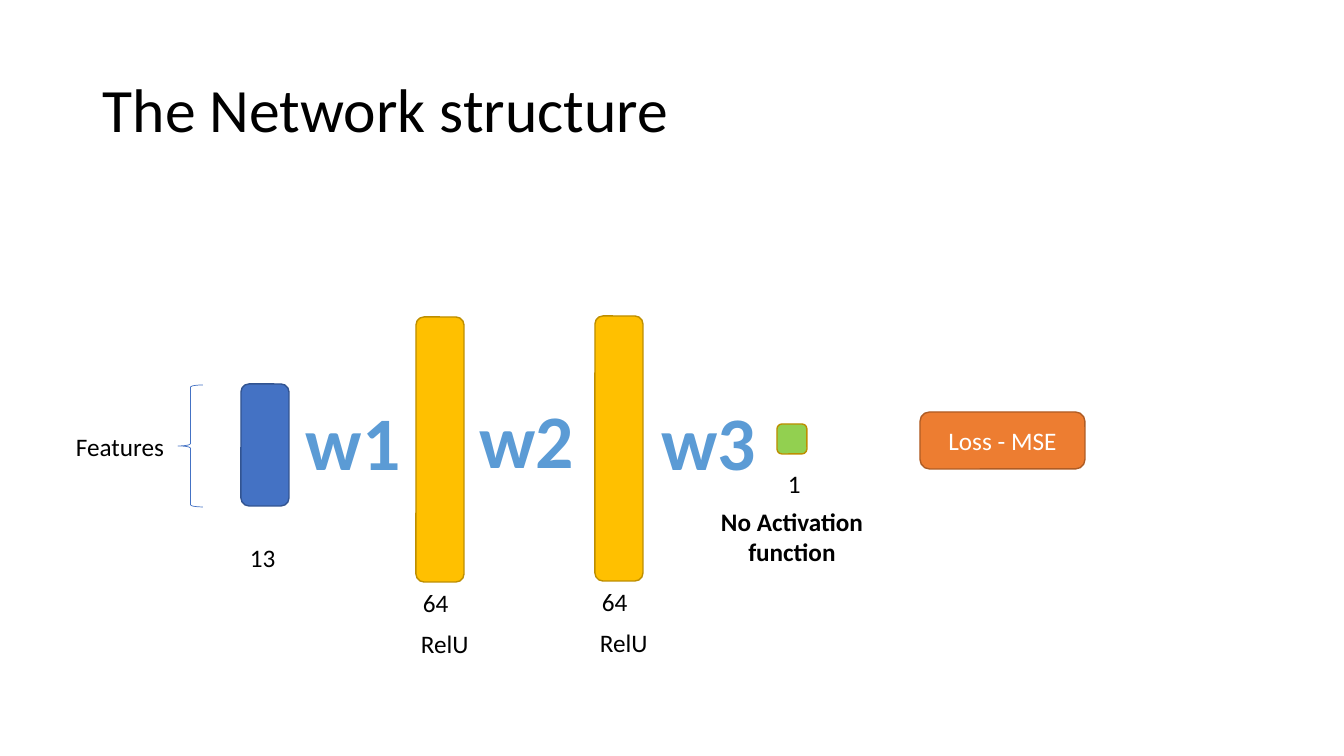
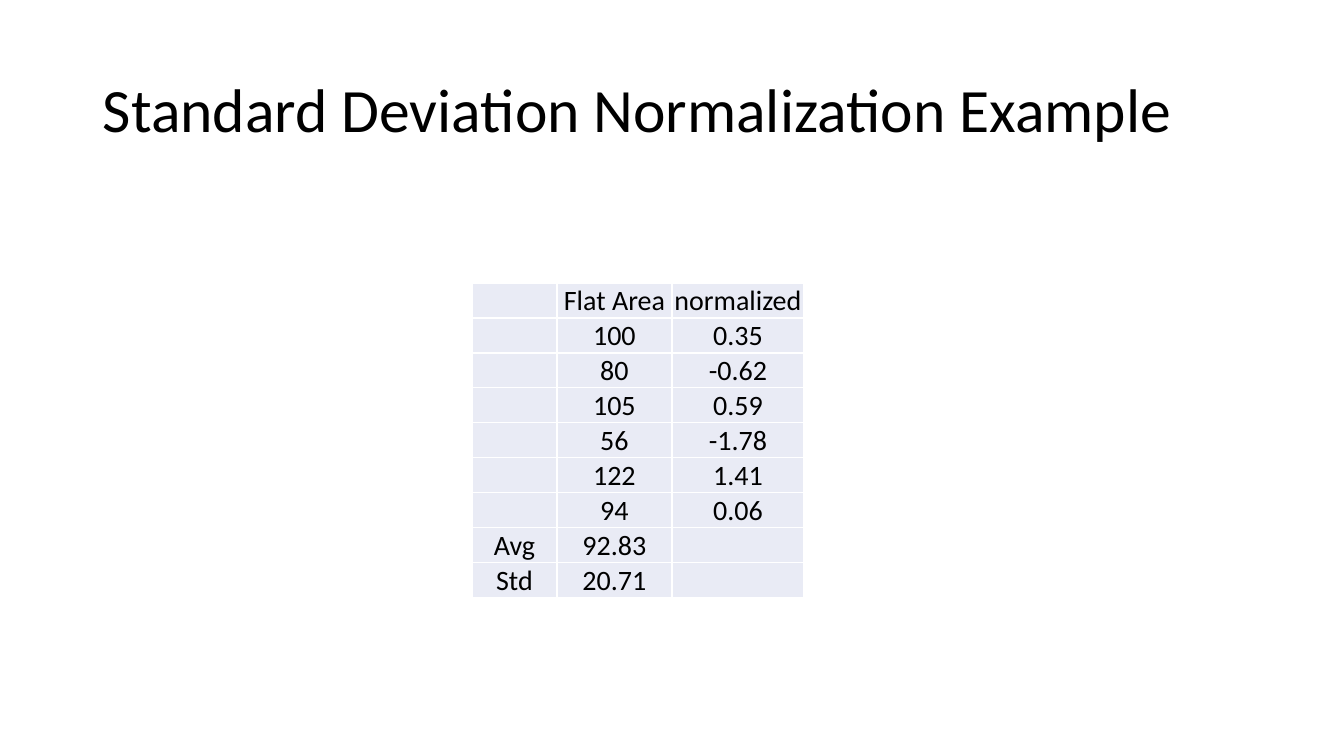
from lxml.etree import SubElement
from pptx import Presentation
from pptx.dml.color import RGBColor
from pptx.enum.shapes import MSO_SHAPE
from pptx.enum.text import MSO_ANCHOR, MSO_AUTO_SIZE, PP_ALIGN
from pptx.oxml.ns import qn
from pptx.util import Emu, Pt

PX = 914400 / 100.8
FONT = "Calibri"
BLACK = RGBColor(0x00, 0x00, 0x00)
WHITE = RGBColor(0xFF, 0xFF, 0xFF)
BLUE = RGBColor(0x44, 0x72, 0xC4)
BLUE_EDGE = RGBColor(0x32, 0x54, 0x91)
GOLD = RGBColor(0xFF, 0xC0, 0x00)
GOLD_EDGE = RGBColor(0xBD, 0x8E, 0x00)
GREEN = RGBColor(0x92, 0xD0, 0x50)
ORANGE = RGBColor(0xED, 0x7D, 0x31)
ORANGE_EDGE = RGBColor(0xAF, 0x5C, 0x24)
SKY = RGBColor(0x5B, 0x9B, 0xD5)
CELL = RGBColor(0xE9, 0xEB, 0xF5)
TITLES = ["The Network structure", "Standard Deviation Normalization Example"]


def px(*lengths):
    return [Emu(round(n * PX)) for n in lengths]


def write(tf, text, size, color=BLACK, bold=False, align=PP_ALIGN.LEFT):
    p = tf.paragraphs[0]
    p.alignment = align
    r = p.add_run()
    r.text = text
    r.font.name = FONT
    r.font.size = Pt(size)
    r.font.bold = bold
    r.font.color.rgb = color
    return r


prs = Presentation()
prs.slide_width, prs.slide_height = px(1344, 756)
for title in TITLES:
    s = prs.slides.add_slide(prs.slide_layouts[6])
    tf = s.shapes.add_textbox(*px(93, 40, 1159, 146)).text_frame
    tf.word_wrap = True
    tf.vertical_anchor = MSO_ANCHOR.MIDDLE
    write(tf, title, 44)
    tf.paragraphs[0].line_spacing = 0.9
network, example = prs.slides

blocks = [
    (241, 384, 48, 122, BLUE, BLUE_EDGE, ""),
    (416, 317, 48, 265, GOLD, GOLD_EDGE, ""),
    (595, 316, 48, 265, GOLD, GOLD_EDGE, ""),
    (777, 424, 30, 30, GREEN, GOLD_EDGE, ""),
    (920, 412, 165, 57, ORANGE, ORANGE_EDGE, "Loss - MSE"),
]
for x, y, w, h, fill, edge, text in blocks:
    sp = network.shapes.add_shape(MSO_SHAPE.ROUNDED_RECTANGLE, *px(x, y, w, h))
    sp.shadow.inherit = False
    sp.fill.solid()
    sp.fill.fore_color.rgb = fill
    sp.line.color.rgb = edge
    sp.line.width = Pt(1)
    if text:
        sp.text_frame.vertical_anchor = MSO_ANCHOR.MIDDLE
        write(sp.text_frame, text, 18, WHITE, align=PP_ALIGN.CENTER)

brace = network.shapes.add_shape(MSO_SHAPE.LEFT_BRACE, *px(178, 385, 25, 122))
brace.shadow.inherit = False
brace.fill.background()
brace.line.color.rgb = BLUE
brace.line.width = Pt(0.5)

labels = [
    ("Features", 66, 426, 111, 40, False, PP_ALIGN.LEFT),
    ("13", 240, 537, 118, 40, False, PP_ALIGN.LEFT),
    ("1", 778, 463, 54, 40, False, PP_ALIGN.LEFT),
    ("No Activation function", 711, 501, 162, 102, True, PP_ALIGN.CENTER),
]
for x, y in [(413, 582), (592, 581)]:
    labels.append(("64", x, y, 54, 40, False, PP_ALIGN.LEFT))
    labels.append(("RelU", x - 2, y + 41, 72, 40, False, PP_ALIGN.LEFT))
for text, x, y, w, h, bold, align in labels:
    tf = network.shapes.add_textbox(*px(x, y, w, h)).text_frame
    tf.word_wrap = True
    tf.auto_size = MSO_AUTO_SIZE.SHAPE_TO_FIT_TEXT
    write(tf, text, 18, bold=bold, align=align)

for text, x, y in [("w1", 295, 390), ("w2", 469, 388), ("w3", 651, 390)]:
    tf = network.shapes.add_textbox(*px(x, y, 116, 102)).text_frame
    tf.word_wrap = False
    tf.auto_size = MSO_AUTO_SIZE.SHAPE_TO_FIT_TEXT
    r = write(tf, text, 54, SKY, True, PP_ALIGN.CENTER)
    rPr = r.font._element
    ln = SubElement(rPr, qn("a:ln"), w=str(Pt(0.75)))
    SubElement(SubElement(ln, qn("a:solidFill")), qn("a:srgbClr"), val=str(WHITE))
    rPr.insert(0, ln)

rows = [
    ("", "Flat Area", "normalized"),
    ("", "100", "0.35"),
    ("", "80", "-0.62"),
    ("", "105", "0.59"),
    ("", "56", "-1.78"),
    ("", "122", "1.41"),
    ("", "94", "0.06"),
    ("Avg", "92.83", ""),
    ("Std", "20.71", ""),
]
widths = px(85, 115, 132)
frame = example.shapes.add_table(len(rows), len(widths), *px(472, 283, 332, 315))
table = frame.table
table.first_row = False
table.horz_banding = False
for column, width in zip(table.columns, widths):
    column.width = width
for i, row in enumerate(rows):
    table.rows[i].height = px(35)[0]
    for j, text in enumerate(row):
        cell = table.cell(i, j)
        cell.margin_left = cell.margin_right = cell.margin_top = px(1)[0]
        cell.margin_bottom = 0
        cell.vertical_anchor = MSO_ANCHOR.BOTTOM
        tcPr = cell._tc.get_or_add_tcPr()
        for side in ("lnL", "lnR", "lnT", "lnB"):
            ln = SubElement(tcPr, qn("a:" + side), w=str(Pt(1)))
            SubElement(SubElement(ln, qn("a:solidFill")), qn("a:srgbClr"), val=str(WHITE))
        cell.fill.solid()
        cell.fill.fore_color.rgb = CELL
        if text:
            write(cell.text_frame, text, 20, align=PP_ALIGN.CENTER)

prs.save("out.pptx")
